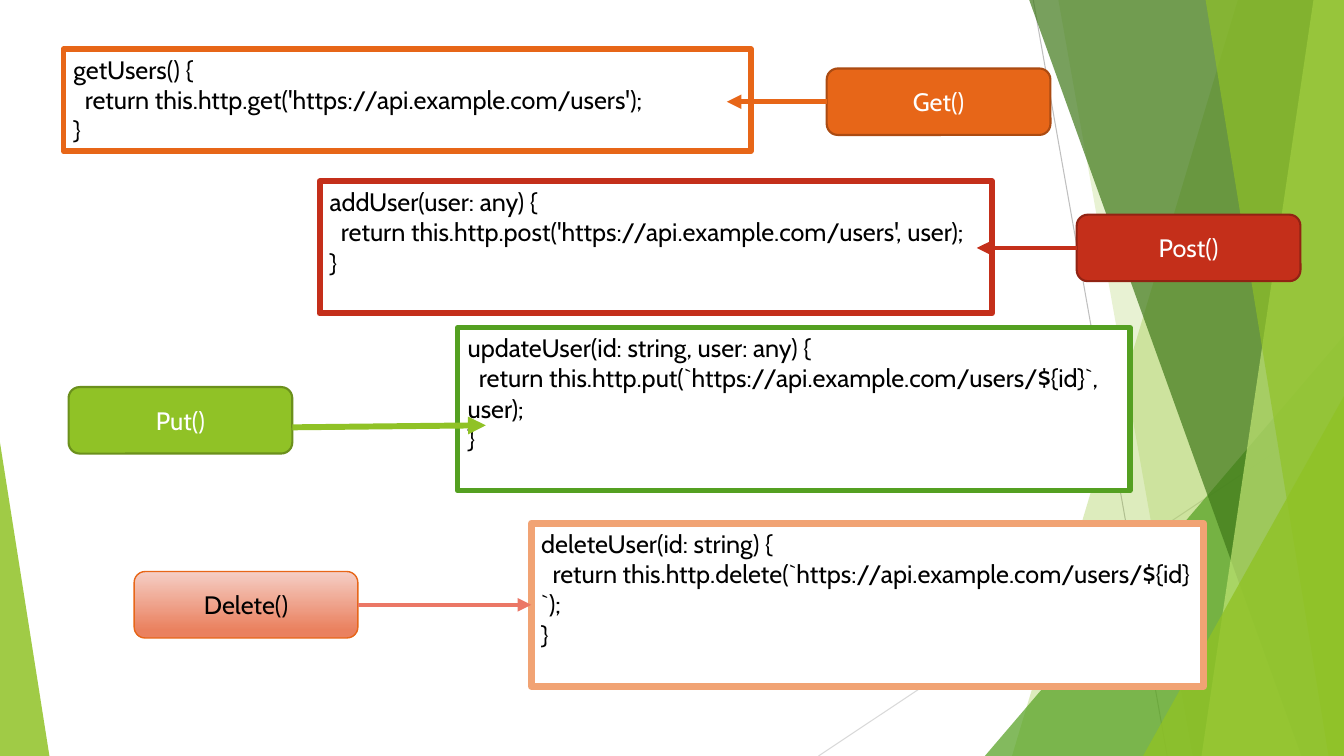
from collections import namedtuple

from lxml import etree
from pptx import Presentation
from pptx import util as u
from pptx.dml.color import RGBColor
from pptx.enum import shapes, text
from pptx.oxml import ns

WHITE = RGBColor(0xFF, 0xFF, 0xFF)
BLACK = RGBColor(0x00, 0x00, 0x00)
GREY = RGBColor(0xBF, 0xBF, 0xBF)
PALE_GREY = RGBColor(0xD9, 0xD9, 0xD9)
LIME = RGBColor(0x90, 0xC2, 0x26)
LIME_EDGE = RGBColor(0x6B, 0x90, 0x1C)
PALE_LIME = RGBColor(0xC0, 0xE4, 0x74)
GREEN = RGBColor(0x54, 0xA0, 0x21)
DARK_GREEN = RGBColor(0x3F, 0x78, 0x19)
ORANGE = RGBColor(0xE7, 0x66, 0x18)
ORANGE_EDGE = RGBColor(0xAB, 0x4B, 0x12)
PEACH = RGBColor(0xF1, 0xA3, 0x74)
RED = RGBColor(0xC4, 0x2F, 0x1A)
RED_EDGE = RGBColor(0x91, 0x23, 0x13)
CORAL = RGBColor(0xEB, 0x77, 0x66)
BLUSH = RGBColor(0xF5, 0xCE, 0xC5)
SALMON = RGBColor(0xEA, 0x81, 0x5F)

SLIDE_WIDTH, SLIDE_HEIGHT = u.Inches(13.33), u.Inches(7.5)
COLUMN, ROW = SLIDE_WIDTH / 100, SLIDE_HEIGHT / 100
BUTTON_WIDTH, BUTTON_HEIGHT = 16.65, 8.8
LEFT_SIDE, RIGHT_SIDE = 1, 3

Box = namedtuple("Box", "left top width height")
Button = namedtuple("Button", "label left top fills edge edge_width color")
Arrow = namedtuple("Arrow", "color width tip_x tip_y start_shift", defaults=[0])

BANDS = [
    (92.1, 75.3, LIME, 30),
    (78.75, 88.73, LIME, 20),
    (73.28, 44.4, GREEN, 72),
    (76.58, 96.83, DARK_GREEN, 70),
    (97.73, 89.4, PALE_LIME, 70),
    (89.7, 98.85, LIME, 65),
    (85.05, 52.4, LIME, 80),
]
TRIANGLES = (2, 6)

REQUESTS = [
    (Box(4.73, 6.53, 51.15, 13.47), ORANGE, 4.25,
     "getUsers() {\n  return this.http.get('https://api.example.com/users');\n}",
     Button("Get()", 56.78, 2.53, [ORANGE], ORANGE_EDGE, 1.5, WHITE),
     Arrow(ORANGE, 3.5, 49.35, 6.93)),
    (Box(23.78, 24, 50.03, 17.47), RED, 4.25,
     "addUser(user: any) {\n  return this.http.post('https://api.example.com/users', user);\n}",
     Button("Post()", 56.33, 4.4, [RED], RED_EDGE, 1.5, WHITE),
     Arrow(RED, 3.5, 48.9, 8.8)),
    (Box(34.05, 43.33, 50.03, 21.6), GREEN, 3.75,
     "updateUser(id: string, user: any) {\n"
     "  return this.http.put(`https://api.example.com/users/${id}`, user);\n}",
     Button("Put()", -28.95, 7.87, [LIME], LIME_EDGE, 1.5, WHITE),
     Arrow(LIME, 4.25, 2.1, 12.93, 0.93)),
    (Box(39.53, 69.2, 50.03, 21.6), PEACH, 4.75,
     "deleteUser(id: string) {\n"
     "  return this.http.delete(`https://api.example.com/users/${id}`);\n}",
     Button("Delete()", -29.55, 6.4, [BLUSH, SALMON], ORANGE, 1, BLACK),
     Arrow(CORAL, 3.25, 0, 10.8)),
]


def set_values(target, values):
    for name, value in values.items():
        setattr(target, name, value)


def to_emu(left, top, *size):
    scales = (COLUMN, ROW, COLUMN, ROW)
    return [round(value * scale) for value, scale in zip((left, top, *size), scales)]


def add_line(slide, start, end, color, width):
    line = slide.shapes.add_connector(
        shapes.MSO_CONNECTOR.STRAIGHT, *to_emu(*start), *to_emu(*end))
    line.line.color.rgb = color
    line.line.width = u.Pt(width)
    etree.SubElement(line.element.spPr, ns.qn("a:effectLst"))
    return line


def add_box(slide, kind, box, fills, edge, edge_width):
    shape = slide.shapes.add_shape(kind, *to_emu(*box))
    shape.shadow.inherit = False
    if len(fills) == 1:
        shape.fill.solid()
        shape.fill.fore_color.rgb = fills[0]
    else:
        shape.fill.gradient()
        shape.fill.gradient_angle = 270
        for stop, color, position in zip(shape.fill.gradient_stops, fills, (0, 0.88)):
            stop.color.rgb = color
            stop.position = position
    shape.line.color.rgb = edge
    shape.line.width = u.Pt(edge_width)
    return shape


def write_text(shape, content, color, alignment, anchor):
    frame = shape.text_frame
    frame.text = content
    set_values(frame, {"word_wrap": True, "vertical_anchor": anchor})
    for paragraph in frame.paragraphs:
        paragraph.alignment = alignment
        set_values(paragraph.font, {"name": "Cabin", "size": u.Pt(18)})
        paragraph.font.color.rgb = color


def paint_facet(shape, color, opacity):
    shape.shadow.inherit = False
    shape.fill.solid()
    shape.fill.fore_color.rgb = color
    fill_color = next(shape.element.spPr.iter(ns.qn("a:srgbClr")))
    etree.SubElement(fill_color, ns.qn("a:alpha"), val=str(opacity * 1000))
    shape.line.fill.background()


def add_triangle(slide, box, apex, color, opacity):
    triangle = slide.shapes.add_shape(
        shapes.MSO_SHAPE.ISOSCELES_TRIANGLE, *to_emu(*box))
    triangle.adjustments[0] = apex
    paint_facet(triangle, color, opacity)


def add_band(slide, box, top_x, bottom_x, color, opacity):
    right, bottom = box.left + box.width, box.top + box.height
    corners = [(right, box.top), (right, bottom), (box.left + bottom_x, bottom)]
    builder = slide.shapes.build_freeform(*to_emu(box.left + top_x, box.top))
    builder.add_line_segments([to_emu(*corner) for corner in corners])
    paint_facet(builder.convert_to_shape(), color, opacity)


def draw_facets(slide, box):
    right, bottom = box.left + box.width, box.top + box.height
    add_line(slide, (box.left + 76.88, box.top), (box.left + 86.85, bottom), GREY, 0.75)
    add_line(slide, (right, box.top + 53.73), (box.left + 60.9, bottom), PALE_GREY, 0.75)
    for index, (first, second, color, opacity) in enumerate(BANDS):
        if index in TRIANGLES:
            corner = Box(box.left + first, box.top + second,
                         box.width - first, box.height - second)
            add_triangle(slide, corner, 1, color, opacity)
        else:
            add_band(slide, box, first, second, color, opacity)
    left_corner = Box(box.left, box.top + 58.53, 3.68, box.height - 58.53)
    add_triangle(slide, left_corner, 0, LIME, 85)


def draw_request(slide, box, edge, edge_width, code, button, arrow):
    code_box = add_box(slide, shapes.MSO_SHAPE.RECTANGLE, box, [WHITE], edge, edge_width)
    write_text(code_box, code, BLACK, text.PP_ALIGN.LEFT, text.MSO_ANCHOR.TOP)

    place = Box(box.left + button.left, box.top + button.top, BUTTON_WIDTH, BUTTON_HEIGHT)
    button_shape = add_box(slide, shapes.MSO_SHAPE.ROUNDED_RECTANGLE, place,
                           button.fills, button.edge, button.edge_width)
    write_text(button_shape, button.label, button.color,
               text.PP_ALIGN.CENTER, text.MSO_ANCHOR.MIDDLE)

    side = LEFT_SIDE if button.left > 0 else RIGHT_SIDE
    start_x = place.left if side == LEFT_SIDE else place.left + place.width
    start = (start_x, place.top + place.height / 2 + arrow.start_shift)
    tip = (box.left + arrow.tip_x, box.top + arrow.tip_y)
    line = add_line(slide, start, tip, arrow.color, arrow.width)
    if not arrow.start_shift:
        line.begin_connect(button_shape, side)
    if arrow.tip_x == 0:
        line.end_connect(code_box, LEFT_SIDE)
    outline = line.element.spPr.find(ns.qn("a:ln"))
    etree.SubElement(outline, ns.qn("a:tailEnd"), type="triangle")


def main():
    presentation = Presentation()
    set_values(presentation, {"slide_width": SLIDE_WIDTH, "slide_height": SLIDE_HEIGHT})
    slide = presentation.slides.add_slide(presentation.slide_layouts[6])
    draw_facets(slide, Box(0, 0, 100, 100))
    for request in REQUESTS:
        draw_request(slide, *request)
    presentation.save("out.pptx")


if __name__ == "__main__":
    main()
